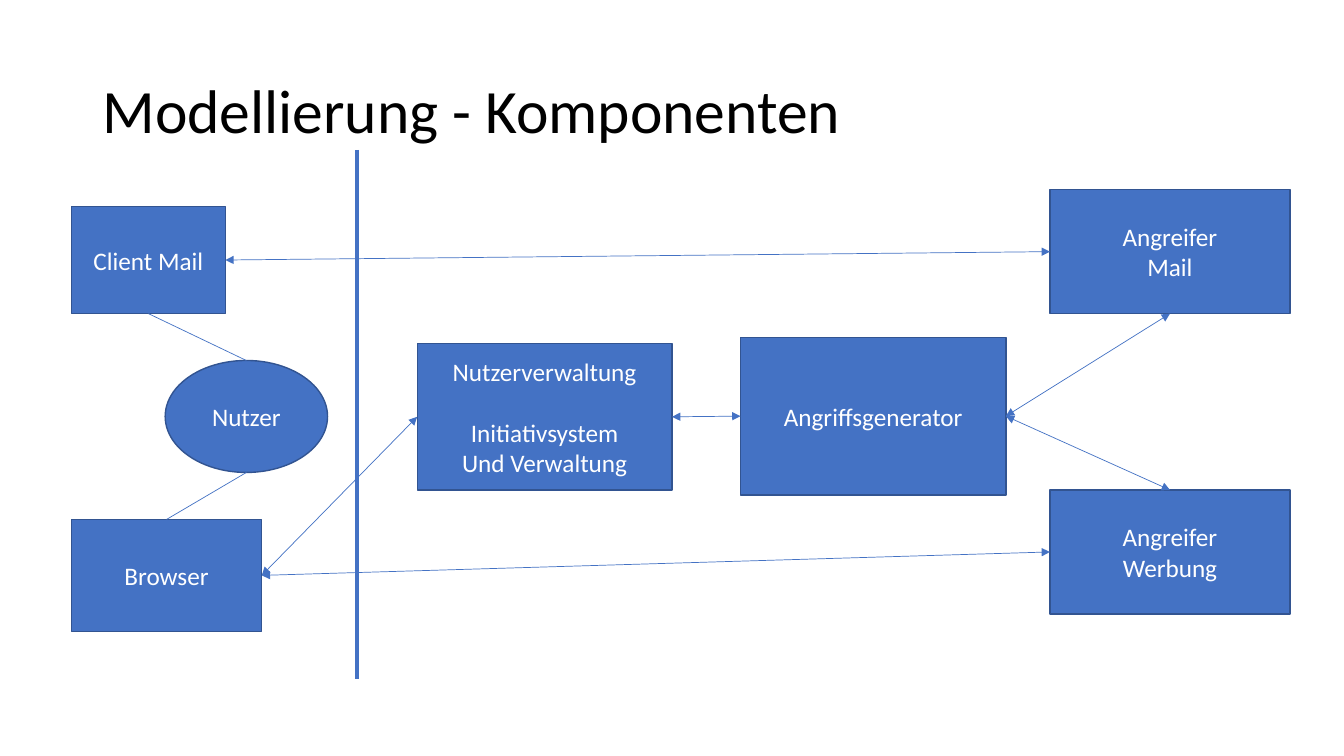
from dataclasses import dataclass

from lxml import etree
from pptx import Presentation
from pptx.dml.color import RGBColor
from pptx.enum.shapes import MSO_CONNECTOR, MSO_SHAPE
from pptx.enum.text import MSO_ANCHOR, MSO_AUTO_SIZE, PP_ALIGN
from pptx.oxml.ns import qn
from pptx.util import Pt

RECT, OVAL = MSO_SHAPE.RECTANGLE, MSO_SHAPE.OVAL
LINE = MSO_CONNECTOR.STRAIGHT
MIDDLE, FIXED = MSO_ANCHOR.MIDDLE, MSO_AUTO_SIZE.NONE
LEFT, CENTER = PP_ALIGN.LEFT, PP_ALIGN.CENTER
TOP, WEST, BASE, EAST = range(4)


@dataclass(frozen=True)
class Theme:
    """Colours, font and sizes of the slide."""
    fill: RGBColor = RGBColor(0x44, 0x72, 0xC4)
    edge: RGBColor = RGBColor(0x32, 0x54, 0x91)
    light: RGBColor = RGBColor(0xFF, 0xFF, 0xFF)
    dark: RGBColor = RGBColor(0, 0, 0)
    font: str = "Calibri"
    head: int = 44
    body: int = 18
    gap: int = 22
    thin: float = 0.5
    rim: float = 1
    thick: float = 3


THEME = Theme()

NODES = {
    "users": (RECT, 247, 138.5, 182, 104.5,
              ["Nutzerverwaltung", "Initiativsystem", "Und Verwaltung"]),
    "maker": (RECT, 478, 134, 189.5, 112.5, ["Angriffsgenerator"]),
    "mailer": (RECT, 699, 28.5, 171.5, 88.5, ["Angreifer\vMail"]),
    "ads": (RECT, 699, 243, 171.5, 88.5, ["Angreifer\vWerbung"]),
    "user": (OVAL, 67, 150.5, 116, 80, ["Nutzer"]),
    "client": (RECT, 0, 40.5, 110, 76.5, ["Client Mail"]),
    "browser": (RECT, 0, 264, 136, 80, ["Browser"]),
}

LINKS = [
    ("users", EAST, "maker", WEST, True),
    ("maker", EAST, "mailer", BASE, True),
    ("maker", EAST, "ads", TOP, True),
    ("client", EAST, "mailer", WEST, True),
    ("browser", EAST, "ads", WEST, True),
    ("browser", EAST, "users", WEST, True),
    ("browser", TOP, "user", BASE, False),
    ("client", BASE, "user", TOP, False),
]


def apply(item, values):
    """Set each attribute of the item from the dict."""
    for name, value in values.items():
        setattr(item, name, value)


def write(frame, lines, size, color, align):
    """Fill a text frame with one paragraph per line."""
    apply(frame, {"text": "\n".join(lines), "word_wrap": True,
                  "auto_size": FIXED, "vertical_anchor": MIDDLE})
    for para in frame.paragraphs:
        para.alignment = align
        for run in para.runs:
            apply(run.font, {"name": THEME.font, "size": Pt(size)})
            run.font.color.rgb = color


def add_node(slide, left, top, kind, x, y, wide, high, lines):
    """Draw a labelled component offset from left and top."""
    node = slide.shapes.add_shape(
        kind, Pt(left + x), Pt(top + y), Pt(wide), Pt(high))
    node.shadow.inherit = False
    node.fill.solid()
    node.fill.fore_color.rgb = THEME.fill
    node.line.color.rgb = THEME.edge
    node.line.width = Pt(THEME.rim)
    write(node.text_frame, lines, THEME.body, THEME.light, CENTER)
    return node


def add_line(slide, ends, width, arrows=False):
    """Draw a straight line, with arrowheads at both ends if asked."""
    line = slide.shapes.add_connector(LINE, *(Pt(end) for end in ends))
    line.line.color.rgb = THEME.fill
    line.line.width = Pt(width)
    if arrows:
        for tag in ("a:headEnd", "a:tailEnd"):
            etree.SubElement(line.line._ln, qn(tag), type="triangle")
    etree.SubElement(line._element.spPr, qn("a:effectLst"))
    return line


def add_head(slide, box):
    """Place the title in the box."""
    title = slide.shapes.title
    apply(title, dict(zip(("left", "top", "width", "height"), map(Pt, box))))
    write(title.text_frame, ["Modellierung - Komponenten"],
          THEME.head, THEME.dark, LEFT)
    title.text_frame.paragraphs[0].line_spacing = 0.9


def add_model(slide, box):
    """Place the components, the divider and the links in the box."""
    left, top, _, high = box
    nodes = {name: add_node(slide, left, top, *node)
             for name, node in NODES.items()}
    nodes["users"].text_frame.paragraphs[1].space_before = Pt(THEME.gap)
    split = left + 204
    add_line(slide, (split, top, split, top + high), THEME.thick)
    for start, out, goal, into, arrows in LINKS:
        link = add_line(slide, (0, 0, 0, 0), THEME.thin, arrows)
        link.begin_connect(nodes[start], out)
        link.end_connect(nodes[goal], into)
        if NODES[goal][0] == OVAL:
            for site in link._element.iter(qn("a:endCxn")):
                site.set("idx", str(into * 2))


def main():
    """Build and save the slide."""
    deck = Presentation()
    apply(deck, {"slide_width": Pt(960), "slide_height": Pt(540)})
    slide = deck.slides.add_slide(deck.slide_layouts.get_by_name("Title Only"))
    add_head(slide, (66, 29, 828, 104.5))
    add_model(slide, (51, 107, 870.5, 378))
    deck.save("out.pptx")


main()
